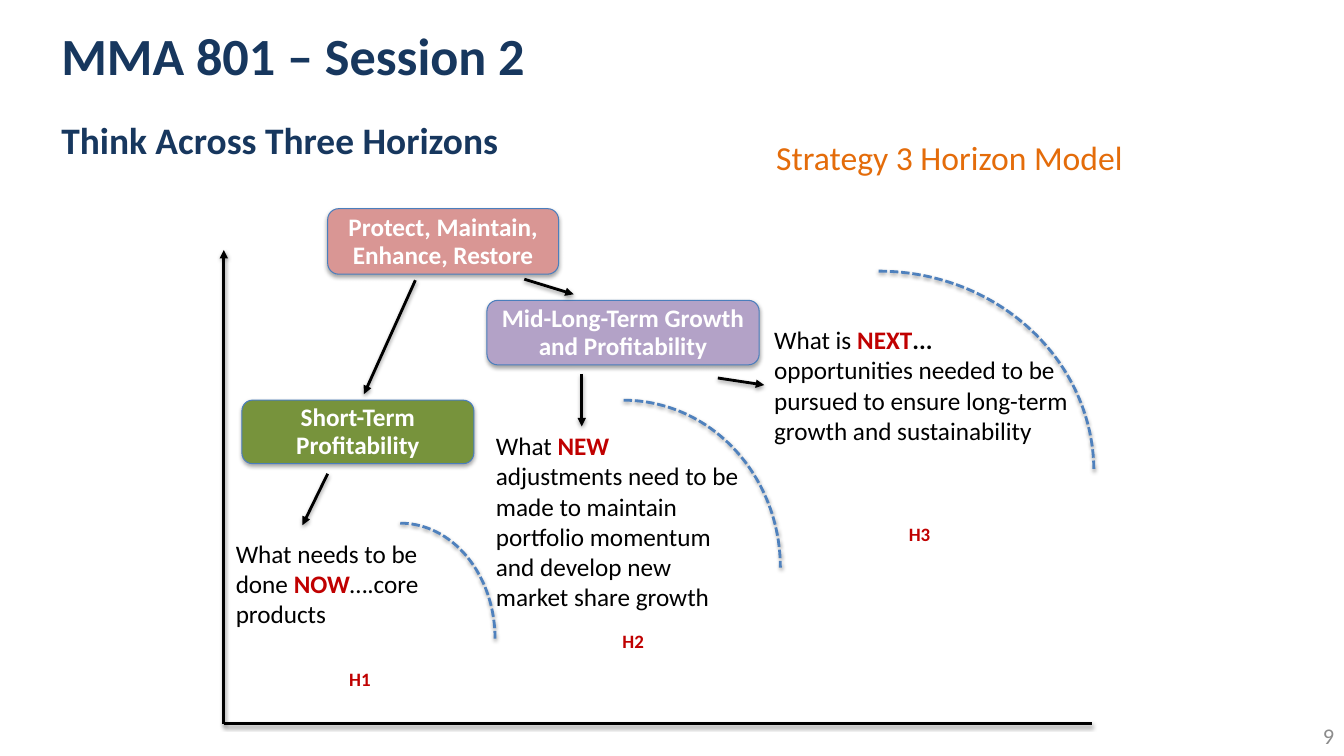
from lxml import etree
from pptx import Presentation
from pptx import util as u
from pptx.dml.color import RGBColor
from pptx.enum import dml, shapes, text
from pptx.oxml.ns import qn

PX = 9144  # EMU in one px, 100 px to the inch
FONT = "Calibri"
NAVY = RGBColor(0x17, 0x37, 0x5E)
BLACK = RGBColor(0, 0, 0)
WHITE = RGBColor(255, 255, 255)
GREY = RGBColor(0x8C, 0x8C, 0x8C)
RED = RGBColor(0xC0, 0, 0)
ORANGE = RGBColor(0xE4, 0x6C, 0x0A)
BLUE = RGBColor(0x4F, 0x81, 0xBD)
BORDER = RGBColor(0x4B, 0x7E, 0xBC)
PINK = RGBColor(0xD9, 0x96, 0x94)
GREEN = RGBColor(0x77, 0x93, 0x3C)
PURPLE = RGBColor(0xB3, 0xA2, 0xC7)

AXES = [((222, 718), (222, 248), True), ((222, 718), (1083, 718), False)]
ARROWS = [
    ((412, 278), (361, 391)),
    ((325, 470), (300, 521)),
    ((520, 277), (569, 292)),
    ((577, 371), (577, 423)),
    ((712, 375), (758, 382)),
]
ARCS = [(303, 519, 188, 229), (463, 397, 311, 332), (658, 269, 427, 397)]
HORIZON_LABELS = [("H1", 318, 657), ("H2", 589, 620), ("H3", 873, 514)]
GOALS = [
    ("Protect, Maintain, Enhance, Restore", (325, 207, 229, 65), PINK),
    ("Short-Term Profitability", (240, 397, 230, 63), GREEN),
    ("Mid-Long-Term Growth and Profitability", (483, 298, 270, 64), PURPLE),
]
# Each run is (text, colour, bold)
QUESTIONS = [
    ((224, 529, 204, 101), [[
        ("What needs to be done ", BLACK, False),
        ("NOW", RED, True),
        ("….core products", BLACK, False)]]),
    ((482, 422, 261, 192), [[
        ("What ", BLACK, False),
        ("NEW", RED, True),
        (" adjustments need to be made to maintain portfolio momentum"
         " and develop new market share growth", BLACK, False)]]),
    ((758, 317, 319, 131), [
        [("What is ", BLACK, False), ("NEXT", RED, True), ("...", BLACK, True)],
        [("opportunities needed to be pursued to ensure long-term growth"
          " and sustainability", BLACK, False)]]),
]


def emu(lengths):
    return [length * PX for length in lengths]


def add_shadow(shape, opacity, distance):
    """Give a soft shadow straight below; opacity in percent, distance in points."""
    effects = etree.SubElement(shape._element.spPr, qn("a:effectLst"))
    shadow = etree.SubElement(
        effects, qn("a:outerShdw"), blurRad=str(u.Pt(3.1)),
        dist=str(u.Pt(distance)), dir="5400000", rotWithShape="0")
    colour = etree.SubElement(shadow, qn("a:srgbClr"), val=str(BLACK))
    etree.SubElement(colour, qn("a:alpha"), val=str(opacity * 1000))


def set_line(shape, colour, width):
    shape.line.color.rgb = colour
    shape.line.width = u.Pt(width)


def write_runs(paragraph, runs, size):
    for words, colour, bold in runs:
        run = paragraph.add_run()
        run.text = words
        run.font.name = FONT
        run.font.size = u.Pt(size)
        run.font.bold = bold
        run.font.color.rgb = colour


def add_text(slide, box, paragraphs, size, align=text.PP_ALIGN.LEFT,
             anchor=text.MSO_ANCHOR.TOP):
    frame = slide.shapes.add_textbox(*emu(box)).text_frame
    frame.word_wrap = True
    frame.vertical_anchor = anchor
    for index, runs in enumerate(paragraphs):
        paragraph = frame.add_paragraph() if index else frame.paragraphs[0]
        paragraph.alignment = align
        write_runs(paragraph, runs, size)


def add_line(slide, start, end, arrow=True):
    line = slide.shapes.add_connector(
        shapes.MSO_CONNECTOR.STRAIGHT, *emu(start + end))
    set_line(line, BLACK, 2)
    if arrow:
        etree.SubElement(line.line._get_or_add_ln(), qn("a:tailEnd"), type="triangle")
    add_shadow(line, 38, 1.6)


def add_arc(slide, box):
    arc = slide.shapes.add_shape(shapes.MSO_SHAPE.ARC, *emu(box))
    arc.fill.background()
    set_line(arc, BLUE, 2)
    arc.line.dash_style = dml.MSO_LINE.SQUARE_DOT
    add_shadow(arc, 38, 1.6)


def add_goal(slide, words, box, colour):
    goal = slide.shapes.add_shape(shapes.MSO_SHAPE.ROUNDED_RECTANGLE, *emu(box))
    goal.fill.solid()
    goal.fill.fore_color.rgb = colour
    set_line(goal, BORDER, 0.75)
    add_shadow(goal, 35, 1.8)
    frame = goal.text_frame
    frame.word_wrap = True
    frame.vertical_anchor = text.MSO_ANCHOR.MIDDLE
    paragraph = frame.paragraphs[0]
    paragraph.alignment = text.PP_ALIGN.CENTER
    paragraph.line_spacing = u.Pt(20)
    write_runs(paragraph, [(words, WHITE, True)], 18)


def main():
    presentation = Presentation()
    presentation.slide_width, presentation.slide_height = emu((1333, 750))
    slide = presentation.slides.add_slide(presentation.slide_layouts[6])

    middle = text.MSO_ANCHOR.MIDDLE
    add_text(slide, (51, 7, 1094, 94), [[("MMA 801 – Session 2", NAVY, True)]],
             37.3, anchor=middle)
    add_text(slide, (51, 111, 650, 60),
             [[("Think Across Three Horizons", NAVY, True)]], 26.7)
    add_text(slide, (760, 131, 387, 50),
             [[("Strategy 3 Horizon Model", ORANGE, False)]], 24)
    add_text(slide, (1033, 710, 300, 40), [[("9", GREY, False)]], 16,
             text.PP_ALIGN.RIGHT, middle)

    for start, end, arrow in AXES:
        add_line(slide, start, end, arrow)
    for box in ARCS:
        add_arc(slide, box)
    for label, left, top in HORIZON_LABELS:
        add_text(slide, (left, top, 78, 33), [[(label, RED, True)]], 13.5,
                 text.PP_ALIGN.CENTER)
    for box, paragraphs in QUESTIONS:
        add_text(slide, box, paragraphs, 18)
    for words, box, colour in GOALS:
        add_goal(slide, words, box, colour)
    for start, end in ARROWS:
        add_line(slide, start, end)

    presentation.save("out.pptx")


if __name__ == "__main__":
    main()
